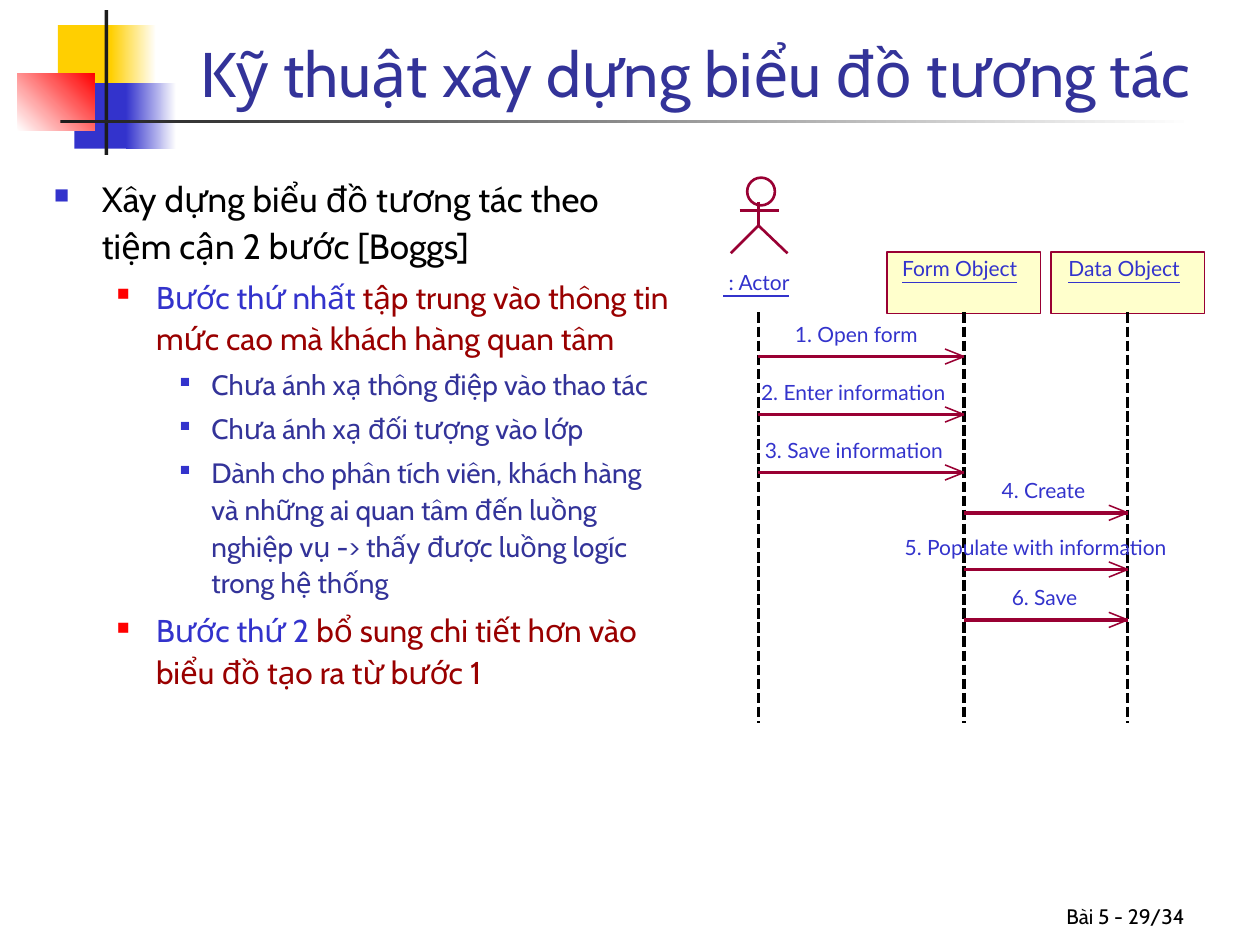
from lxml.etree import SubElement
from pptx import Presentation
from pptx.dml.color import RGBColor
from pptx.enum.dml import MSO_LINE
from pptx.enum.shapes import MSO_CONNECTOR, MSO_SHAPE
from pptx.enum.text import MSO_ANCHOR, MSO_AUTO_SIZE, PP_ALIGN
from pptx.oxml.ns import qn
from pptx.util import Pt

PX = 9144  # EMU per px, 100 px to the inch
COLORS = {
    "yellow": "FFCF01", "blue": "3333CC", "red": "FF0000", "white": "FFFFFF",
    "bar": "1C1C1C", "navy": "333399", "black": "000000", "brown": "990000",
    "wine": "990033", "cream": "FFFFCC",
}
BODY_FONT, DIAGRAM_FONT = "Cabin", "Lato"

# level: margin, hanging indent, space before, size, bullet colour, bullet percent
LEVELS = [
    (38, 38, 5, 20, "blue", 60),
    (81, 31, 4.5, 18, "red", 55),
    (125, 25, 4, 16, "blue", 50),
]
OUTLINE = [
    (0, [("Xây dựng biểu đồ tương tác theo tiệm cận 2 bước [Boggs]", "black")]),
    (1, [("Bước thứ nhất", "blue"),
         (" tập trung vào thông tin mức cao mà khách hàng quan tâm", "brown")]),
    (2, [("Chưa ánh xạ thông điệp vào thao tác", "navy")]),
    (2, [("Chưa ánh xạ đối tượng vào lớp", "navy")]),
    (2, [("Dành cho phân tích viên, khách hàng và những ai quan tâm đến luồng "
          "nghiệp vụ -> thấy được luồng logíc trong hệ thống", "navy")]),
    (1, [("Bước thứ 2", "blue"),
         (" bổ sung chi tiết hơn vào biểu đồ tạo ra từ bước 1", "brown")]),
]
# Positions below are relative to the diagram's box
LIFELINES = {"actor": 29, "form": 192, "data": 322}
MESSAGES = [  # text, text width, sender, receiver, y
    ("1. Open form", 104, "actor", "form", 142),
    ("2. Enter information", 158, "actor", "form", 188),
    ("3. Save information", 152, "actor", "form", 234),
    ("4. Create", 70, "form", "data", 266),
    ("5. Populate with information", 224, "form", "data", 311),
    ("6. Save", 55, "form", "data", 351),
]


def rgb(name):
    return RGBColor.from_string(COLORS[name])


def px(*lengths):
    return [length * PX for length in lengths]


def add_block(slide, box, fill=None, fade_to=None, angle=0, line=None, width=0,
              kind=MSO_SHAPE.RECTANGLE):
    """Add a shape with a plain fill, a gradient (angle counter-clockwise) or none."""
    shape = slide.shapes.add_shape(kind, *px(*box))
    shape.shadow.inherit = False
    if fade_to:
        shape.fill.gradient()
        shape.fill.gradient_angle = angle
        for stop, color in zip(shape.fill.gradient_stops, (fill, fade_to)):
            stop.color.rgb = rgb(color)
    elif fill:
        shape.fill.solid()
        shape.fill.fore_color.rgb = rgb(fill)
    else:
        shape.fill.background()
    if line:
        shape.line.color.rgb = rgb(line)
        shape.line.width = Pt(width)
    else:
        shape.line.fill.background()


def add_line(slide, start, end, color="wine", width=0, dash=None):
    line = slide.shapes.add_connector(MSO_CONNECTOR.STRAIGHT, *px(*start, *end))
    line.line.color.rgb = rgb(color)
    line.line.width = Pt(width)
    if dash:
        line.line.dash_style = dash
    SubElement(line._element.spPr, qn("a:effectLst"))


def add_text(slide, box, text, size, color, font, align, anchor=MSO_ANCHOR.BOTTOM):
    shape = slide.shapes.add_textbox(*px(*box))
    frame = shape.text_frame
    frame.word_wrap = True
    frame.vertical_anchor = anchor
    paragraph = frame.paragraphs[0]
    paragraph.text = text
    paragraph.alignment = align
    paragraph.font.size = Pt(size)
    paragraph.font.name = font
    paragraph.font.color.rgb = rgb(color)
    return shape


def add_label(slide, center, top, width, text, underline=False):
    """Add a one-line diagram label without insets, centred on a given x."""
    shape = add_text(slide, (center - width // 2, top, width, 20), text, 12, "blue",
                     DIAGRAM_FONT, PP_ALIGN.LEFT, MSO_ANCHOR.TOP)
    frame = shape.text_frame
    frame.margin_left = frame.margin_right = frame.margin_top = frame.margin_bottom = 0
    frame.word_wrap = False
    frame.auto_size = MSO_AUTO_SIZE.SHAPE_TO_FIT_TEXT
    frame.paragraphs[0].font.underline = underline


def add_ornament(slide, left, top):
    add_block(slide, (left + 32, top + 12, 48, 52), "yellow")
    add_block(slide, (left + 74, top + 12, 36, 52), "yellow", "white")
    add_block(slide, (left + 45, top + 58, 46, 52), "blue")
    add_block(slide, (left + 86, top + 58, 40, 52), "blue", "white")
    add_block(slide, (left, top + 50, 61, 46), "white", "red", angle=45)
    add_block(slide, (left + 69, top, 3, 115), "bar")
    add_block(slide, (left + 34, top + 87, 900, 3), "bar", "white")


def add_outline(slide, box):
    frame = slide.shapes.add_textbox(*px(*box)).text_frame
    frame.word_wrap = True
    for index, (level, runs) in enumerate(OUTLINE):
        margin, hanging, before, size, bullet_color, percent = LEVELS[level]
        paragraph = frame.add_paragraph() if index else frame.paragraphs[0]
        paragraph.level = level
        paragraph.line_spacing = 1.1
        paragraph.space_before = Pt(before)
        paragraph.font.size = Pt(size)
        paragraph.font.name = BODY_FONT
        for text, color in runs:
            run = paragraph.add_run()
            run.text = text
            run.font.color.rgb = rgb(color)
        add_bullet(paragraph, margin, hanging, bullet_color, percent)


def add_bullet(paragraph, margin, hanging, color, percent):
    properties = paragraph._p.get_or_add_pPr()
    properties.set("marL", str(margin * PX))
    properties.set("indent", str(-hanging * PX))
    bullet = [SubElement(properties, qn(tag)) for tag in ("a:buClr", "a:buSzPct", "a:buChar")]
    SubElement(bullet[0], qn("a:srgbClr"), val=COLORS[color])
    bullet[1].set("val", str(percent * 1000))
    bullet[2].set("char", "■")
    # The default run properties come last in a paragraph's properties
    properties.append(properties.find(qn("a:defRPr")))


def add_actor(slide, x, top):
    add_block(slide, (x - 9, top, 22, 22), line="wine", width=1.5, kind=MSO_SHAPE.OVAL)
    add_line(slide, (x, top + 19), (x, top + 38), width=1.5)
    add_line(slide, (x - 15, top + 26), (x + 16, top + 26), width=1.5)
    builder = slide.shapes.build_freeform(x - 22, top + 60, scale=PX)
    builder.add_line_segments([(x, top + 38), (x + 23, top + 60)], close=False)
    legs = builder.convert_to_shape()
    legs.shadow.inherit = False
    legs.fill.background()
    legs.line.color.rgb = rgb("wine")
    legs.line.width = Pt(1.5)
    add_label(slide, x - 1, top + 73, 55, " : Actor", underline=True)


def add_object(slide, x, top, text, width):
    add_block(slide, (x - 61, top, 122, 49), "cream", line="wine")
    add_label(slide, x - 1, top + 3, width, text, underline=True)


def add_message(slide, start, end, y, text, width):
    add_line(slide, (start, y), (end, y))
    for rise in (6, -6):
        add_line(slide, (end, y), (end - 15, y + rise), width=0.88)
    add_label(slide, (start + end) // 2, y - 28, width, text)


def add_sequence_diagram(slide, left, top):
    columns = {name: left + x for name, x in LIFELINES.items()}
    add_actor(slide, columns["actor"], top)
    add_object(slide, columns["form"], top + 59, "Form Object", 97)
    add_object(slide, columns["data"], top + 59, "Data Object", 92)
    for x in columns.values():
        add_line(slide, (x, top + 107), (x, top + 433), "black", dash=MSO_LINE.SQUARE_DOT)
    for text, width, sender, receiver, y in MESSAGES:
        add_message(slide, columns[sender], columns[receiver], top + y, text, width)


def main():
    presentation = Presentation()
    presentation.slide_width, presentation.slide_height = px(1000, 750)
    slide = presentation.slides.add_slide(presentation.slide_layouts[6])
    add_ornament(slide, 14, 8)
    add_text(slide, (742, 692, 208, 50), "Bài 5 - 29/34", 12, "black", BODY_FONT,
             PP_ALIGN.RIGHT)
    add_text(slide, (126, 8, 852, 84), "Kỹ thuật xây dựng biểu đồ tương tác", 36, "navy",
             BODY_FONT, PP_ALIGN.CENTER)
    add_outline(slide, (33, 133, 508, 550))
    add_sequence_diagram(slide, 573, 141)
    presentation.save("out.pptx")


if __name__ == "__main__":
    main()
